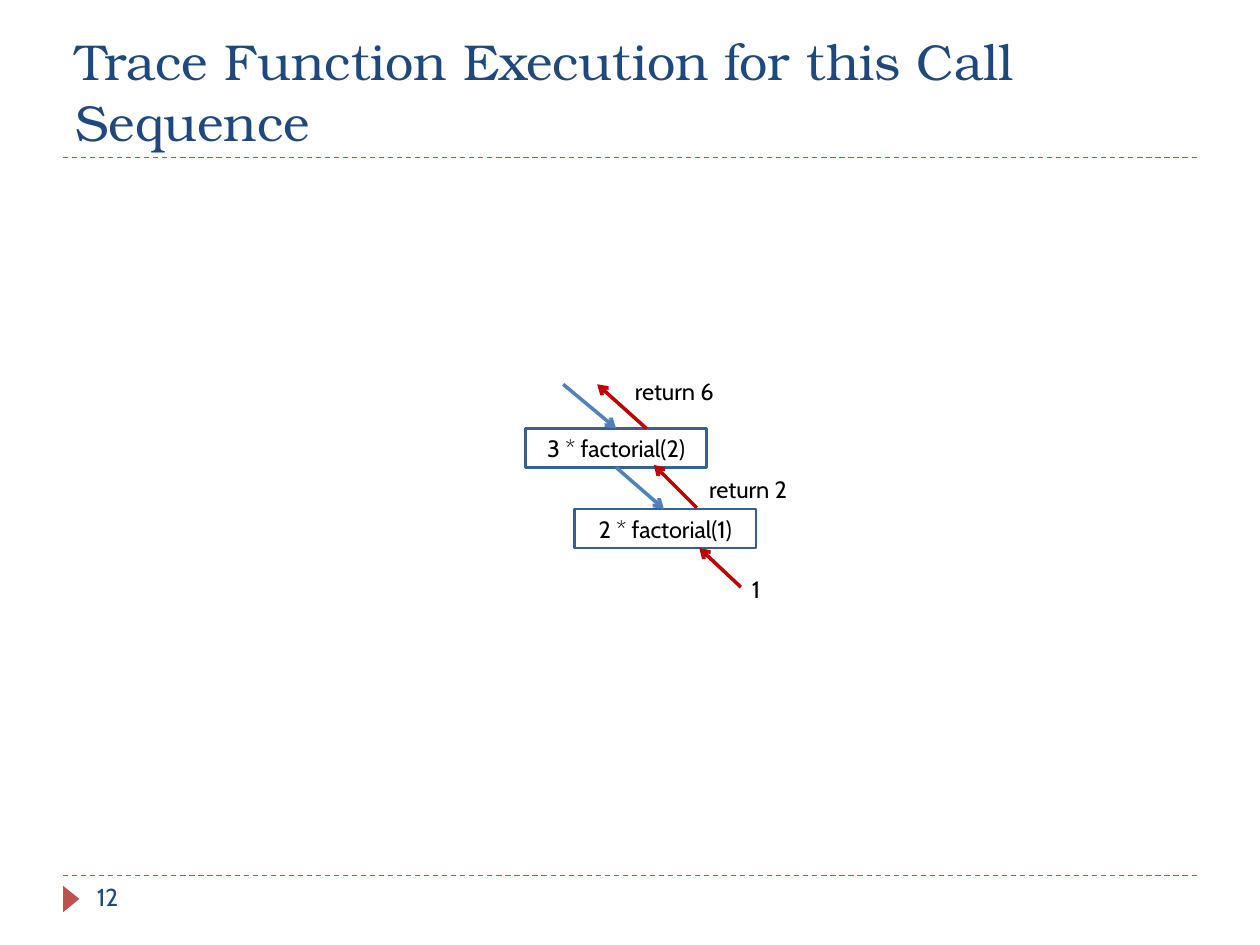
from pptx import Presentation
from pptx.dml.color import RGBColor
from pptx.enum.dml import MSO_LINE
from pptx.enum.shapes import MSO_CONNECTOR as CONN, MSO_SHAPE as SHAPE
from pptx.enum.text import MSO_ANCHOR as ANCHOR, MSO_AUTO_SIZE as FIT, PP_ALIGN as ALIGN
from pptx.oxml.ns import qn
from pptx.util import Inches, Pt
from lxml import etree


def color(value):
    return RGBColor.from_string(value)


def add_line(s, start, end, hex_color, width):
    x1, y1, x2, y2 = [Inches(v) for v in (*start, *end)]
    line = s.shapes.add_connector(CONN.STRAIGHT, x1, y1, x2, y2)
    line.line.color.rgb = color(hex_color)
    line.line.width = Pt(width)
    etree.SubElement(line._element.spPr, qn("a:effectLst"))
    return line


prs = Presentation()
prs.slide_width, prs.slide_height = Inches(10), Inches(7.5)
s = prs.slides.add_slide(prs.slide_layouts[5])

# Dashed rules under the title and above the footer
for y in (6.95, 1.25):
    rule = add_line(s, (0.5, y), (9.5, y), "C0504D", 0.75)
    rule.line.dash_style = MSO_LINE.DASH

# Footer marker
sp = s.shapes.add_shape(SHAPE.ISOSCELES_TRIANGLE, Inches(0.46), Inches(7.07),
                        Inches(0.21), Inches(0.13))
sp.rotation = 90
sp.shadow.inherit = False
sp.fill.solid()
sp.fill.fore_color.rgb = color("C0504D")
sp.line.fill.background()

# Title
title = s.shapes.title
title.left, title.top = Inches(0.5), Inches(0.17)
title.width, title.height = Inches(9), Inches(1.08)
tf = title.text_frame
tf.word_wrap = True
tf.auto_size = FIT.NONE
tf.vertical_anchor = ANCHOR.BOTTOM
p = tf.paragraphs[0]
p.alignment = ALIGN.LEFT
r = p.add_run()
r.text = "Trace Function Execution for this Call Sequence"
r.font.name, r.font.size = "TeX Gyre Bonum", Pt(28.8)
r.font.color.rgb = color("1F497D")

# Call boxes
for text, x, y in (("3 * factorial(2)", 4.17, 3.4), ("2 * factorial(1)", 4.56, 4.04)):
    sp = s.shapes.add_shape(SHAPE.RECTANGLE, Inches(x), Inches(y), Inches(1.44), Inches(0.31))
    sp.shadow.inherit = False
    sp.fill.background()
    sp.line.color.rgb = color("3A5F8C")
    sp.line.width = Pt(1.5)
    tf = sp.text_frame
    tf.vertical_anchor = ANCHOR.MIDDLE
    p = tf.paragraphs[0]
    p.alignment = ALIGN.CENTER
    r = p.add_run()
    r.text = text
    r.font.name, r.font.size = "Cabin", Pt(13.5)
    r.font.color.rgb = color("000000")

# Arrows: calls in blue, returns in red
arrows = {
    "4F81BD": [((4.47, 3.05), (4.89, 3.4)), ((4.89, 3.71), (5.27, 4.04))],
    "C00000": [((5.88, 4.66), (5.55, 4.35)), ((5.53, 4.03), (5.19, 3.69)),
               ((5.13, 3.4), (4.74, 3.05))],
}
for hex_color, ends in arrows.items():
    for start, end in ends:
        arrow = add_line(s, start, end, hex_color, 2)
        etree.SubElement(arrow.line._get_or_add_ln(), qn("a:tailEnd"), type="arrow")

# Return values and slide number
labels = [
    ("1", 5.87, 4.51, 0.3, 0.33, 13.5, "000000"),
    ("return 2", 5.53, 3.72, 0.84, 0.33, 13.5, "000000"),
    ("return 6", 4.94, 2.94, 0.84, 0.33, 13.5, "000000"),
    ("12", 0.67, 6.95, 2.17, 0.4, 14, "1F497D"),
]
for text, x, y, w, h, size, hex_color in labels:
    sp = s.shapes.add_textbox(Inches(x), Inches(y), Inches(w), Inches(h))
    tf = sp.text_frame
    tf.word_wrap = text == "12"
    r = tf.paragraphs[0].add_run()
    r.text = text
    r.font.name, r.font.size = "Cabin", Pt(size)
    r.font.color.rgb = color(hex_color)

prs.save("out.pptx")
